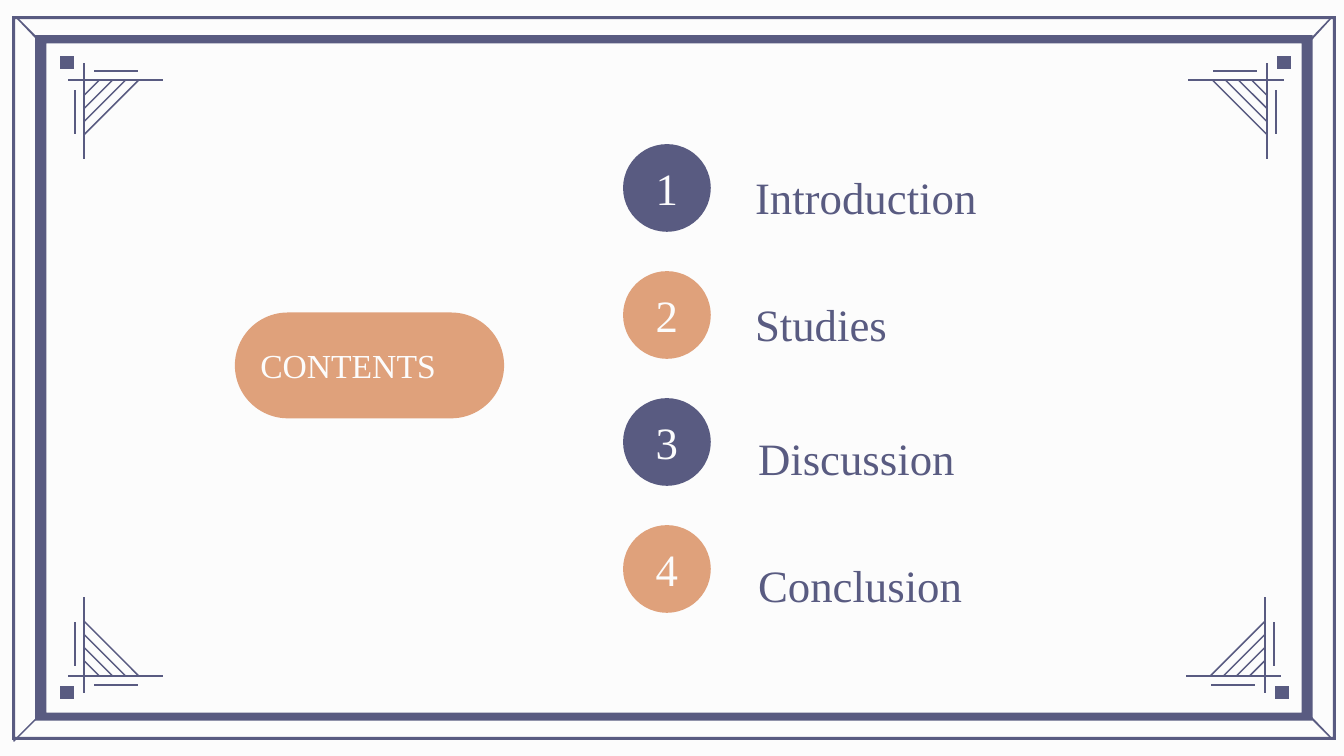
from pptx import Presentation
from pptx.dml.color import RGBColor
from pptx.enum.shapes import MSO_SHAPE as Shape
from pptx.enum.text import MSO_ANCHOR as Anchor, PP_ALIGN as Align
from pptx.util import Inches, Pt

WIDTH, HEIGHT = 13.33, 7.5
INK, PEACH, PAPER = "595B81", "DFA17B", "FCFCFC"
FONT = "Times New Roman"

TITLE = "CONTENTS"
CHAPTERS = [("Introduction", 7.39, 0.2), ("Studies", 7.39, 0.2),
            ("Discussion", 7.42, 0.27), ("Conclusion", 7.42, 0.27)]
CIRCLE_LEFT, CIRCLE_TOP, CIRCLE_SIZE, ROW_PITCH = 6.18, 1.43, 0.87, 1.26

# (elbow x, elbow y, direction x, direction y)
CORNERS = [(0.83, 0.79, 1, 1), (12.57, 0.79, -1, 1),
           (0.83, 6.71, 1, -1), (12.55, 6.71, -1, -1)]
BARS = [(-0.16, -0.01, 0.79, 0.01), (0.1, -0.1, 0.54, -0.08)]
SQUARE = (-0.23, -0.23, -0.1, -0.1)
HATCH_STEP, HATCH_COUNT, HATCH_WIDTH = 0.13, 4, 0.01

RINGS = [((0.12, 0.16, 13.25, 7.34), 0.03, 0.03),
         ((0.35, 0.35, 13.02, 7.15), 0.11, 0.08)]
MITRES = [[(0.16, 0.18), (0.17, 0.17), (0.38, 0.38), (0.37, 0.4)],
          [(12.99, 0.39), (13.2, 0.17), (13.21, 0.18), (13, 0.41)],
          [(0.13, 7.35), (0.4, 7.08), (0.41, 7.09), (0.14, 7.36)],
          [(12.99, 7.12), (13, 7.1), (13.21, 7.32), (13.2, 7.33)]]


def color(value):
    return RGBColor.from_string(value)


def paint(shape, fill):
    shape.shadow.inherit = False
    shape.fill.solid()
    shape.fill.fore_color.rgb = color(fill)
    shape.line.fill.background()
    return shape


def rectangle(left, top, right, bottom):
    return [(left, top), (right, top), (right, bottom), (left, bottom)]


def draw_outline(page, *contours):
    points = [[(Inches(x), Inches(y)) for x, y in contour] for contour in contours]
    builder = page.shapes.build_freeform(*points[0][0])
    builder.add_line_segments(points[0][1:])
    for contour in points[1:]:
        builder.move_to(*contour[0])
        builder.add_line_segments(contour[1:])
    paint(builder.convert_to_shape(), INK)


def draw_ring(page, edges, side, cap):
    left, top, right, bottom = edges
    hole = rectangle(left + side, top + cap, right - side, bottom - cap)
    draw_outline(page, rectangle(*edges), hole[::-1])


def draw_corner(page, x, y, across, down):
    flipped = [(top, left, bottom, right) for left, top, right, bottom in BARS]
    parts = [rectangle(*edges) for edges in [*BARS, *flipped, SQUARE]]
    for number in range(1, HATCH_COUNT + 1):
        reach = number * HATCH_STEP + 0.02
        parts.append([(0, reach), (reach, 0), (reach + HATCH_WIDTH, HATCH_WIDTH),
                      (HATCH_WIDTH, reach + HATCH_WIDTH)])
    for part in parts:
        draw_outline(page, [(x + across * u, y + down * v) for u, v in part])


def write(box, text, size=32, fill=PAPER, align=Align.CENTER, anchor=Anchor.MIDDLE, wrap=True):
    frame = box.text_frame
    frame.word_wrap = wrap
    frame.vertical_anchor = anchor
    para = frame.paragraphs[0]
    para.alignment = align
    span = para.add_run()
    span.text = text
    span.font.name = FONT
    span.font.size = Pt(size)
    span.font.color.rgb = color(fill)


def add_badge(page, kind, left, top, width, height, fill):
    return paint(page.shapes.add_shape(kind, *map(Inches, (left, top, width, height))), fill)


def main():
    """Build the contents slide and save it."""
    deck = Presentation()
    deck.slide_width, deck.slide_height = Inches(WIDTH), Inches(HEIGHT)
    page = deck.slides.add_slide(deck.slide_layouts[6])
    page.background.fill.solid()
    page.background.fill.fore_color.rgb = color(PAPER)

    for corner in CORNERS:
        draw_corner(page, *corner)
    for ring in RINGS:
        draw_ring(page, *ring)
    for mitre in MITRES:
        draw_outline(page, mitre)

    pill = add_badge(page, Shape.ROUNDED_RECTANGLE, 2.33, 3.1, 2.67, 1.05, PEACH)
    pill.adjustments[0] = 0.5
    write(pill, TITLE, size=24, align=Align.JUSTIFY)

    for row, (chapter, left, drop) in enumerate(CHAPTERS):
        top = CIRCLE_TOP + row * ROW_PITCH
        circle = add_badge(page, Shape.OVAL, CIRCLE_LEFT, top, CIRCLE_SIZE, CIRCLE_SIZE,
                           (INK, PEACH)[row % 2])
        write(circle, str(row + 1))
        label = page.shapes.add_textbox(*map(Inches, (left, top + drop, 2.5, 0.64)))
        write(label, chapter, fill=INK, align=Align.LEFT, anchor=Anchor.TOP, wrap=False)

    deck.save("out.pptx")


if __name__ == "__main__":
    main()
